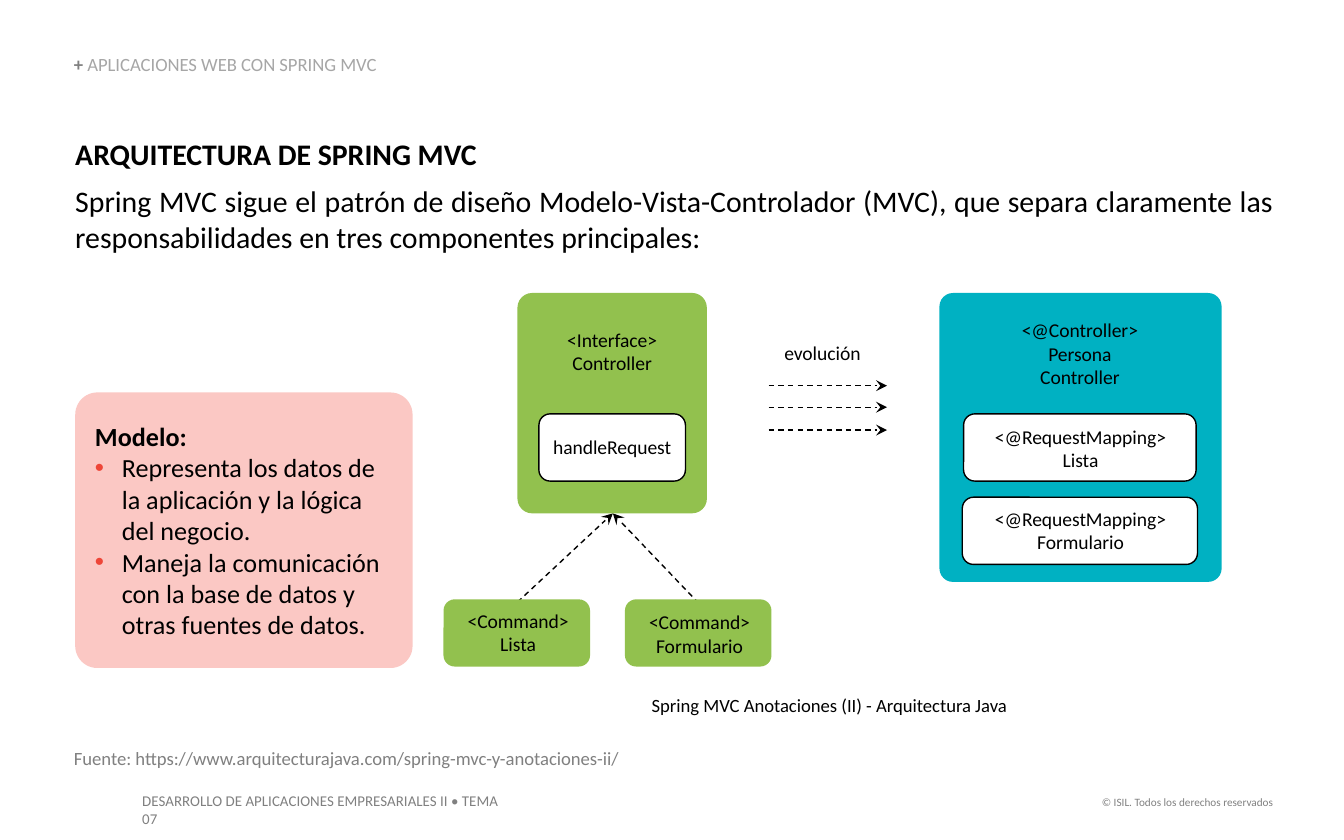
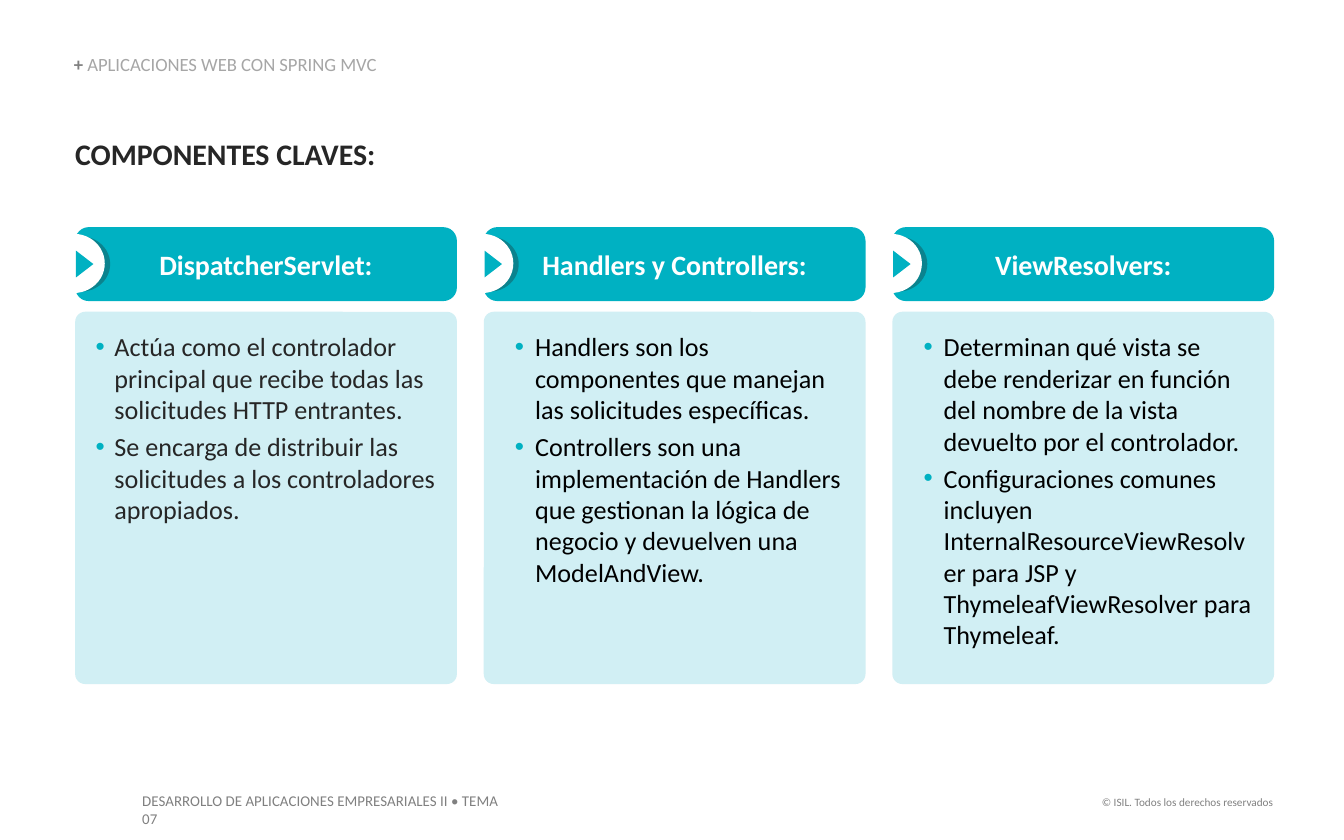
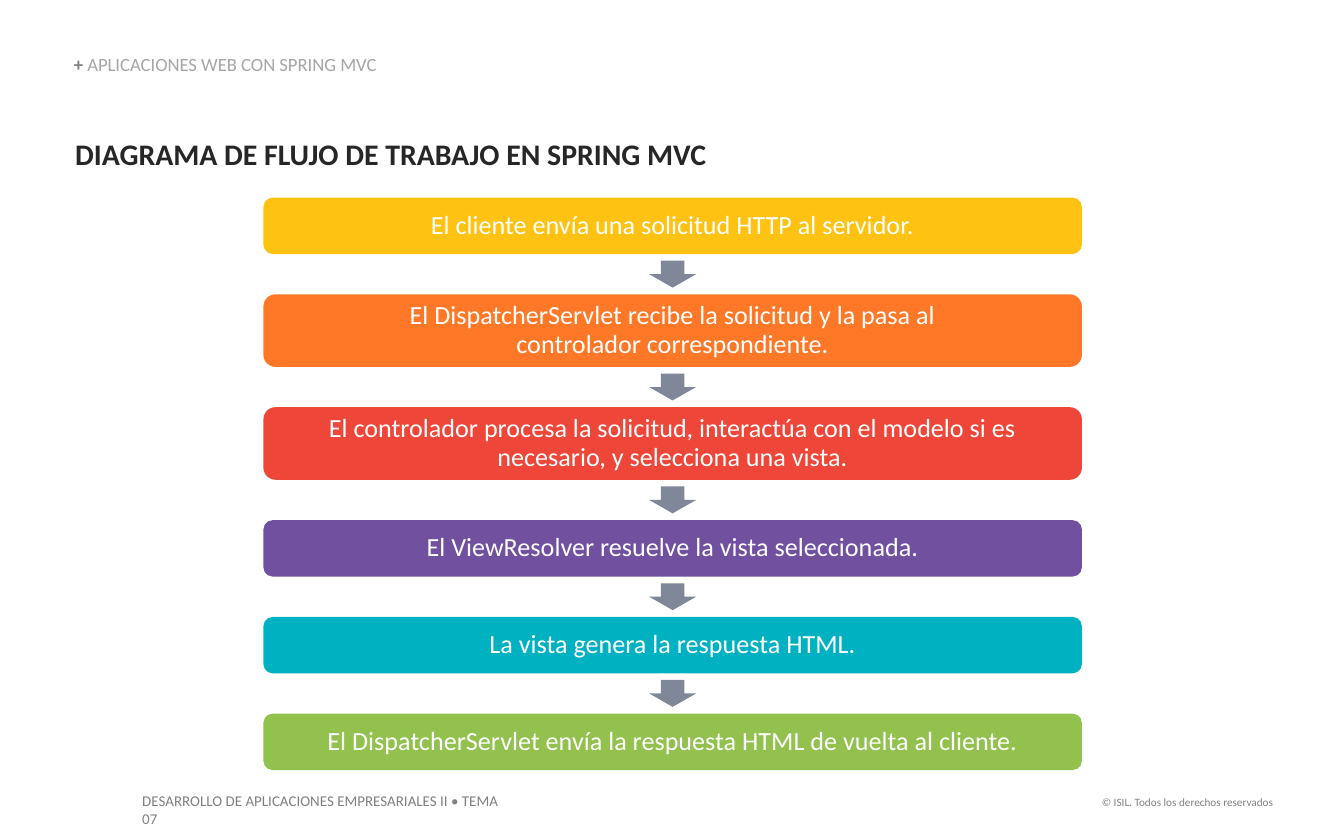
"""Builds three slides on the Spring MVC architecture, its components and its workflow."""
from dataclasses import dataclass

from lxml.etree import SubElement
from pptx import Presentation
from pptx.dml.color import RGBColor
from pptx.enum.dml import MSO_LINE
from pptx.enum.shapes import MSO_CONNECTOR, MSO_SHAPE as Preset
from pptx.enum.text import MSO_ANCHOR as Anchor, PP_ALIGN as Align
from pptx.oxml.ns import qn
from pptx.util import Inches, Pt


@dataclass(frozen=True)
class Theme:
    font: str = "Calibri"
    black: str = "000000"
    ink: str = "262626"
    white: str = "FFFFFF"
    grey: str = "808080"
    light_grey: str = "A6A6A6"
    slate: str = "808799"
    teal: str = "00B1C2"
    dark_teal: str = "0B838E"
    pale_teal: str = "D1EFF4"
    green: str = "92C14E"
    yellow: str = "FDC212"
    orange: str = "FE7828"
    red: str = "EE4638"
    pink: str = "FBC8C4"
    purple: str = "7150A0"
    title: float = 16
    column_title: float = 15
    body: float = 14
    label: float = 10.5
    small: float = 10
    footer: float = 8
    copyright: float = 6
    hairline: float = 0.75


theme = Theme()
flush = dict.fromkeys(("margin_left", "margin_top", "margin_right", "margin_bottom"), 0)


def add_block(slide, box, fill=None, preset=Preset.ROUNDED_RECTANGLE, corner=None, outline=None):
    left, top, width, height = map(Inches, box)
    if fill is None:
        return slide.shapes.add_textbox(left, top, width, height)
    shape = slide.shapes.add_shape(preset, left, top, width, height)
    shape.shadow.inherit = False
    shape.fill.solid()
    shape.fill.fore_color.rgb = RGBColor.from_string(fill)
    if outline:
        shape.line.color.rgb = RGBColor.from_string(outline)
        shape.line.width = Pt(theme.hairline)
    else:
        shape.line.fill.background()
    if corner:
        shape.adjustments[0] = corner
    return shape


def write(shape, paragraphs, size, color, bold=False, frame=None, **layout):
    text_frame = shape.text_frame
    settings = {"word_wrap": True, "vertical_anchor": Anchor.TOP, **(frame or {})}
    for name, value in settings.items():
        setattr(text_frame, name, value)
    for index, content in enumerate(paragraphs):
        content = {"text": content} if isinstance(content, str) else content
        paragraph = text_frame.paragraphs[0] if index == 0 else text_frame.add_paragraph()
        for name, value in {"alignment": Align.LEFT, **layout, **content.get("layout", {})}.items():
            setattr(paragraph, name, value)
        if "bullet" in content:
            properties = paragraph._p.get_or_add_pPr()
            indent, hanging = content["indent"]
            properties.set("marL", str(Inches(indent)))
            properties.set("indent", str(-Inches(hanging)))
            bullet_color = SubElement(properties, qn("a:buClr"))
            SubElement(bullet_color, qn("a:srgbClr"), val=content["bullet"])
            SubElement(properties, qn("a:buFont"), typeface="Arial")
            SubElement(properties, qn("a:buChar"), char="•")
        for text, changes in content.get("runs") or [(content["text"], content.get("font", {}))]:
            look = {"color": color, "bold": bold, **changes}
            for line_index, line in enumerate(text.split("\n")):
                if line_index:
                    paragraph.add_line_break()
                run = paragraph.add_run()
                run.text = line
                for name, value in {"name": theme.font, "size": Pt(size), "bold": look["bold"]}.items():
                    setattr(run.font, name, value)
                run.font.color.rgb = RGBColor.from_string(look["color"])


presentation = Presentation()
presentation.slide_width, presentation.slide_height = Inches(10), Inches(6.25)
slides = [presentation.slides.add_slide(presentation.slide_layouts[6]) for _ in range(3)]
architecture, components, workflow = slides

for slide in slides:
    write(add_block(slide, (8.07, 5.87, 1.5, 0.2)), ["© ISIL. Todos los derechos reservados"],
          theme.copyright, theme.grey, alignment=Align.RIGHT)
    write(add_block(slide, (0.96, 5.84, 3.02, 0.24)),
          ["DESARROLLO DE APLICACIONES EMPRESARIALES II • TEMA 07"],
          theme.footer, theme.grey, frame={"margin_right": Inches(0.17)})
    section = [("+ ", {"bold": True}), ("APLICACIONES WEB CON SPRING MVC", {"color": theme.light_grey})]
    write(add_block(slide, (0.55, 0.41, 2.66, 0.15)), [{"runs": section}], theme.small, theme.grey,
          frame={**flush, "vertical_anchor": Anchor.BOTTOM}, line_spacing=0.9)

introduction = [
    {"text": "ARQUITECTURA DE SPRING MVC", "font": {"bold": True}},
    {"text": "Spring MVC sigue el patrón de diseño Modelo-Vista-Controlador (MVC), que separa "
             "claramente las responsabilidades en tres componentes principales:",
     "layout": {"alignment": Align.JUSTIFY}},
]
write(add_block(architecture, (0.56, 1.01, 8.92, 0.98)), introduction, theme.title, theme.black,
      frame=flush, space_after=Pt(6))
write(add_block(architecture, (0.55, 5.56, 6.54, 0.17)),
      ["Fuente: https://www.arquitecturajava.com/spring-mvc-y-anotaciones-ii/"],
      theme.small, theme.grey, frame=flush)

arrows = [((3.85, 4.48), (4.56, 3.82)), ((5.2, 4.49), (4.56, 3.82))]
arrows += [((5.72, height), (6.6, height)) for height in (2.87, 3.03, 3.2)]
for start, end in arrows:
    arrow = architecture.shapes.add_connector(MSO_CONNECTOR.STRAIGHT, *map(Inches, start + end))
    arrow.line.color.rgb = RGBColor.from_string(theme.black)
    arrow.line.width = Pt(theme.hairline)
    arrow.line.dash_style = MSO_LINE.DASH
    outline_properties = arrow._element.spPr
    SubElement(outline_properties.find(qn("a:ln")), qn("a:tailEnd"), type="stealth")
    SubElement(outline_properties, qn("a:effectLst"))

nodes = [
    ((6.99, 2.18, 2.1, 2.15), theme.teal, 0.048),
    ((3.85, 2.18, 1.41, 1.64), theme.green, 0.078),
    ((3.3, 4.46, 1.09, 0.5), theme.green, None),
    ((4.65, 4.46, 1.09, 0.5), theme.green, None),
]
for box, fill, corner in nodes:
    add_block(architecture, box, fill, corner=corner)
for box in [(7.17, 3.08, 1.73, 0.5), (7.16, 3.7, 1.75, 0.5), (4.01, 3.08, 1.09, 0.5)]:
    add_block(architecture, box, theme.white, outline=theme.black)

labels = [
    ((4.01, 2.39, 1.09, 0.47), ["<Interface>", "Controller"]),
    ((4.01, 3.19, 1.09, 0.28), ["handleRequest"]),
    ((3.31, 4.48, 1.09, 0.45), ["<Command>", "Lista"]),
    ((4.7, 4.49, 1.01, 0.45), ["<Command>", "Formulario"]),
    ((5.66, 2.49, 0.92, 0.28), ["evolución"]),
    ((7.49, 2.32, 1.09, 0.63), ["<@Controller>", "Persona", "Controller"]),
    ((7.18, 3.11, 1.72, 0.45), ["<@RequestMapping>", "Lista"]),
    ((7.18, 3.72, 1.72, 0.45), ["<@RequestMapping>", "Formulario"]),
]
for box, lines in labels:
    write(add_block(architecture, box), lines, theme.label, theme.black, alignment=Align.CENTER)
write(add_block(architecture, (3.67, 5.16, 5, 0.17)), ["Spring MVC Anotaciones (II) - Arquitectura Java"],
      theme.small, theme.black, frame=flush, alignment=Align.CENTER)

model_duties = [
    "Representa los datos de la aplicación y la lógica del negocio.",
    "Maneja la comunicación con la base de datos y otras fuentes de datos.",
]
model_text = [{"text": "Modelo:", "font": {"bold": True}}]
model_text += [{"text": duty, "bullet": theme.red, "indent": (0.2, 0.2)} for duty in model_duties]
write(add_block(architecture, (0.56, 2.92, 2.51, 2.05), theme.pink, corner=0.08), model_text,
      theme.body, theme.black, frame={"vertical_anchor": Anchor.MIDDLE})

for slide, title in [(components, "COMPONENTES CLAVES:"),
                     (workflow, "DIAGRAMA DE FLUJO DE TRABAJO EN SPRING MVC")]:
    write(add_block(slide, (0.56, 1.01, 8.16, 0.27)), [title], theme.title, theme.ink, True, flush)

columns = [
    ("DispatcherServlet:", theme.ink, (0.15, 0.14), [
        "Actúa como el controlador principal que recibe todas las solicitudes HTTP entrantes.",
        "Se encarga de distribuir las solicitudes a los controladores apropiados."]),
    ("Handlers y Controllers:", theme.black, (0.24, 0.15), [
        "Handlers son los componentes que manejan las solicitudes específicas.",
        "Controllers son una implementación de Handlers que gestionan la lógica de negocio "
        "y devuelven una ModelAndView."]),
    ("ViewResolvers:", theme.black, (0.24, 0.15), [
        "Determinan qué vista se debe renderizar en función del nombre de la vista devuelto "
        "por el controlador.",
        "Configuraciones comunes incluyen InternalResourceViewResolver para JSP y "
        "ThymeleafViewResolver para Thymeleaf."]),
]
card_frame = dict.fromkeys(("margin_left", "margin_top", "margin_right"), Inches(0.12))
for index, (heading, color, indent, points) in reversed(list(enumerate(columns))):
    left = 0.56 + 3.04 * index
    write(add_block(components, (left, 1.69, 2.84, 0.55), theme.teal, corner=0.183), [heading],
          theme.column_title, theme.white, True, {"vertical_anchor": Anchor.MIDDLE},
          alignment=Align.CENTER)
    bullets = [{"text": point, "bullet": theme.teal, "indent": indent} for point in points]
    write(add_block(components, (left, 2.32, 2.84, 2.77), theme.pale_teal, corner=0.027), bullets,
          theme.body, color, frame=card_frame, space_after=Pt(3))
    add_block(components, (left - 0.17, 1.76, 0.43, 0.41), theme.dark_teal, Preset.OVAL)
    add_block(components, (left - 0.24, 1.74, 0.46, 0.44), theme.white, Preset.OVAL)
    pointer = add_block(components, (left - 0.03, 1.9, 0.2, 0.13), theme.teal, Preset.ISOSCELES_TRIANGLE)
    pointer.rotation = 90

steps = [
    ("El cliente envía una solicitud HTTP al servidor.", theme.yellow, 0.42),
    ("El DispatcherServlet recibe la solicitud y la pasa al\ncontrolador correspondiente.",
     theme.orange, 0.54),
    ("El controlador procesa la solicitud, interactúa con el modelo si es necesario, "
     "y selecciona una vista.", theme.red, 0.54),
    ("El ViewResolver resuelve la vista seleccionada.", theme.purple, 0.42),
    ("La vista genera la respuesta HTML.", theme.teal, 0.42),
    ("El DispatcherServlet envía la respuesta HTML de vuelta al cliente.", theme.green, 0.42),
]
top = 1.47
for index, (text, fill, height) in enumerate(steps):
    if index:
        add_block(workflow, (4.83, top - 0.25, 0.35, 0.2), theme.slate, Preset.DOWN_ARROW)
    write(add_block(workflow, (1.96, top, 6.09, height), fill), [text], theme.body, theme.white,
          frame={"vertical_anchor": Anchor.MIDDLE}, alignment=Align.CENTER, line_spacing=0.9)
    top += height + 0.3

presentation.save("out.pptx")
